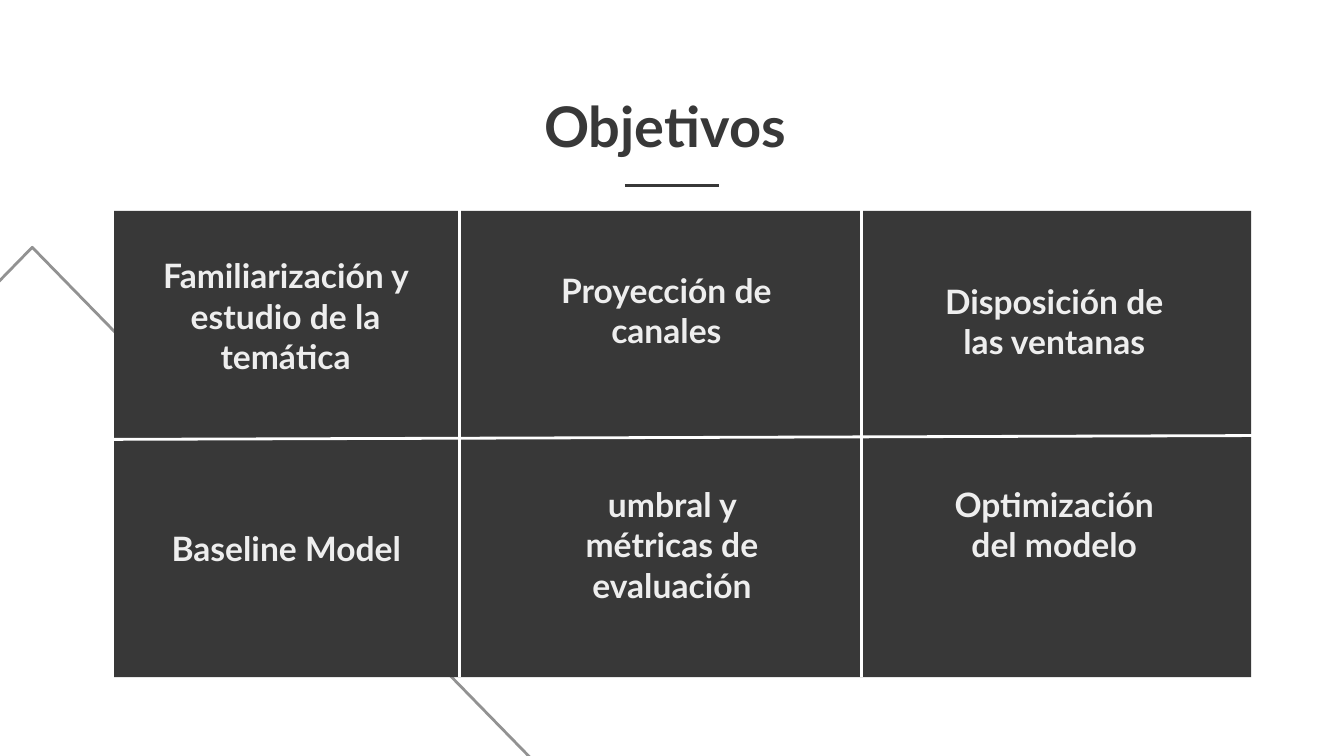
from lxml import etree
from pptx import Presentation
from pptx.dml.color import RGBColor
from pptx.enum.shapes import MSO_CONNECTOR, MSO_SHAPE
from pptx.enum.text import MSO_ANCHOR, MSO_AUTO_SIZE, PP_ALIGN
from pptx.oxml.ns import qn
from pptx.util import Pt

STRAIGHT = MSO_CONNECTOR.STRAIGHT
TRIANGLE, RECTANGLE = MSO_SHAPE.ISOSCELES_TRIANGLE, MSO_SHAPE.RECTANGLE
TOP, MIDDLE = MSO_ANCHOR.TOP, MSO_ANCHOR.MIDDLE
CENTER = PP_ALIGN.CENTER
NO_AUTOFIT = MSO_AUTO_SIZE.NONE

FONT = "Lato"
COLORS = {"dark": "383838", "light": "EEEEEE", "white": "FFFFFF", "gray": "929292"}
LINE_WIDTH = 1.5
INSET = 7.2

TITLE = "Objetivos "
# text, centre x, centre y, width
OBJECTIVES = [
    ("Familiarización y estudio de la temática", 153, 169.2, 165),
    ("Proyección de canales", 357, 166.3, 148),
    ("Disposición de las ventanas", 564.8, 172.1, 148),
    ("Baseline Model", 153.4, 293.8, 150),
    ("umbral y métricas de evaluación", 360, 291.6, 148),
    ("Optimización del modelo", 564.8, 280.8, 148),
]
OBJECTIVE_HEIGHT = 31.7

PANEL = (61.2, 113, 609.1, 249.8)
MOUNTAIN = (-274.3, 132.5, 583.2, 298.8)
# x1, y1, x2, y2, colour
RULES = [
    (461.5, 108, 461.5, 362.9, "white"),
    (246.2, 107.3, 246.2, 362.9, "white"),
    (61.2, 235.4, 686.9, 233.3, "white"),
    (334.8, 99.4, 385.2, 99.4, "dark"),
]


def rgb(name):
    return RGBColor.from_string(COLORS[name])


def add_block(slide, kind, box, fill=None, line=None):
    block = slide.shapes.add_shape(kind, *map(Pt, box))
    block.shadow.inherit = False
    if fill:
        block.fill.solid()
        block.fill.fore_color.rgb = rgb(fill)
    else:
        block.fill.background()
    if line:
        block.line.color.rgb = rgb(line)
        block.line.width = Pt(LINE_WIDTH)
    else:
        block.line.fill.background()


def add_rule(slide, x1, y1, x2, y2, color):
    rule = slide.shapes.add_connector(STRAIGHT, Pt(x1), Pt(y1), Pt(x2), Pt(y2))
    rule.line.color.rgb = rgb(color)
    rule.line.width = Pt(LINE_WIDTH)
    etree.SubElement(rule.element.spPr, qn("a:effectLst"))


def write_heading(holder, text, size, color, anchor):
    frame = holder.text_frame
    frame.word_wrap = True
    frame.auto_size = NO_AUTOFIT
    frame.vertical_anchor = anchor
    frame.margin_left = frame.margin_right = Pt(INSET)
    frame.margin_top = frame.margin_bottom = Pt(INSET)
    paragraph = frame.paragraphs[0]
    paragraph.alignment = CENTER
    run = paragraph.add_run()
    run.text = text
    run.font.name = FONT
    run.font.size = Pt(size)
    run.font.bold = True
    run.font.color.rgb = rgb(color)


def main():
    deck = Presentation()
    deck.slide_width, deck.slide_height = Pt(720), Pt(405)
    slide = deck.slides.add_slide(deck.slide_layouts[5])

    title = slide.shapes.title
    title.left, title.top = Pt(155.5), Pt(41.8)
    title.width, title.height = Pt(409), Pt(41.8)
    write_heading(title, TITLE, 30, "dark", TOP)

    add_block(slide, TRIANGLE, MOUNTAIN, line="gray")
    add_block(slide, RECTANGLE, PANEL, fill="dark")

    for text, x, y, width in OBJECTIVES:
        box = (x - width / 2, y - OBJECTIVE_HEIGHT / 2, width, OBJECTIVE_HEIGHT)
        objective = slide.shapes.add_textbox(*map(Pt, box))
        write_heading(objective, text, 18, "light", MIDDLE)

    for rule in RULES:
        add_rule(slide, *rule)

    deck.save("out.pptx")


if __name__ == "__main__":
    main()
